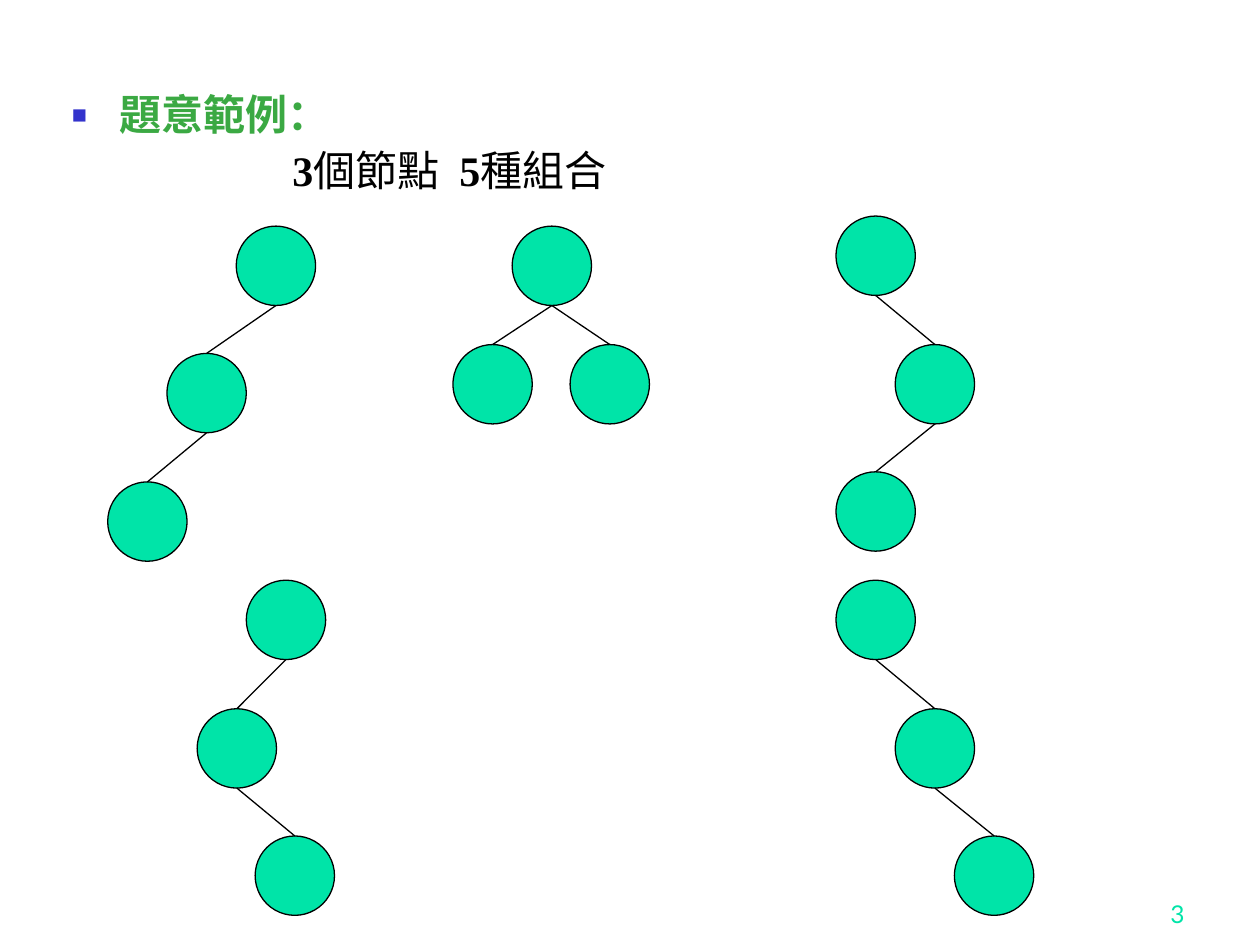
"""Build a slide showing the five binary trees that three nodes can form."""
from lxml import etree
from pptx import Presentation
from pptx.dml.color import RGBColor
from pptx.enum.shapes import MSO_CONNECTOR, MSO_SHAPE
from pptx.enum.text import MSO_ANCHOR, PP_ALIGN
from pptx.oxml.ns import qn
from pptx.util import Inches, Pt

ELLIPSE = MSO_SHAPE.OVAL
STRAIGHT = MSO_CONNECTOR.STRAIGHT
BOTTOM = MSO_ANCHOR.BOTTOM
RIGHT = PP_ALIGN.RIGHT

NODE_SIZE = 0.63
RADIUS = NODE_SIZE / 2
GREEN = "00E4A8"
BLACK = "000000"
CHAIN = [(0, 1), (1, 2)]
FORK = [(0, 1), (0, 2)]
TREES = [
    ([(2.19, 2.11), (1.64, 3.12), (1.17, 4.14)], CHAIN),
    ([(4.38, 2.11), (3.91, 3.05), (4.84, 3.05)], FORK),
    ([(6.95, 2.03), (7.42, 3.05), (6.95, 4.06)], CHAIN),
    ([(2.27, 4.92), (1.88, 5.94), (2.34, 6.95)], CHAIN),
    ([(6.95, 4.92), (7.42, 5.94), (7.89, 6.95)], CHAIN),
]


def color(value):
    """Return the colour for a hex string."""
    return RGBColor.from_string(value)


def set_bullet(para, margin, indent, bullets):
    """Set the indents of a paragraph and its bullet elements."""
    properties = para._p.get_or_add_pPr()
    properties.set("marL", str(Inches(margin)))
    properties.set("indent", str(Inches(indent)))
    for tag, attributes in bullets:
        etree.SubElement(properties, qn(tag), attributes)
    return properties


deck = Presentation()
deck.slide_width, deck.slide_height = Inches(10), Inches(7.5)
page = deck.slides.add_slide(deck.slide_layouts[1])
title = page.shapes.title
title.element.getparent().remove(title.element)

body = page.placeholders[1]
body.left, body.top = Inches(0.47), Inches(0.7)
body.width, body.height = Inches(8.83), Inches(6.48)
heading = body.text_frame.paragraphs[0]
heading.text = "題意範例："
properties = set_bullet(heading, 0.38, -0.38, [
    ("a:buClr", {}),
    ("a:buSzPct", {"val": "60000"}),
    ("a:buFont", {"typeface": "Times New Roman"}),
    ("a:buChar", {"char": "■"}),
])
etree.SubElement(properties.find(qn("a:buClr")), qn("a:srgbClr"), {"val": "3333CC"})

example = body.text_frame.add_paragraph()
set_bullet(example, 1.75, 0, [("a:buNone", {})])
for text, bold in [("3", True), ("個節點", False), (" ", False), ("5", True), ("種組合", False)]:
    span = example.add_run()
    span.text = text
    span.font.bold = bold
    if text == " ":
        span._r.get_or_add_rPr().set("spc", "600")

for para, hue, space in [(heading, "3BA943", 0), (example, BLACK, 6)]:
    para.line_spacing = 0.9
    para.space_before = Pt(space)
    para.font.name = "Times New Roman"
    para.font.size = Pt(24)
    para.font.color.rgb = color(hue)
heading.font.bold = True

number_box = page.shapes.add_textbox(Inches(7.42), Inches(6.92), Inches(2.08), Inches(0.5))
number_box.text_frame.word_wrap = True
number_box.text_frame.vertical_anchor = BOTTOM
number = number_box.text_frame.paragraphs[0]
number.text = "3"
number.alignment = RIGHT
number.font.name = "Lato"
number.font.size = Pt(14)
number.font.color.rgb = color(GREEN)

for centers, edges in TREES:
    for x, y in centers:
        node = page.shapes.add_shape(
            ELLIPSE, Inches(x - RADIUS), Inches(y - RADIUS), Inches(NODE_SIZE), Inches(NODE_SIZE))
        node.shadow.inherit = False
        node.fill.solid()
        node.fill.fore_color.rgb = color(GREEN)
        node.line.color.rgb = color(BLACK)
        node.line.width = Pt(0.75)
    for parent, child in edges:
        (x1, y1), (x2, y2) = centers[parent], centers[child]
        edge = page.shapes.add_connector(
            STRAIGHT, Inches(x1), Inches(y1 + RADIUS), Inches(x2), Inches(y2 - RADIUS))
        edge.line.color.rgb = color(BLACK)
        edge.line.width = Pt(0.75)
        etree.SubElement(edge._element.spPr, qn("a:effectLst"))

deck.save("out.pptx")
